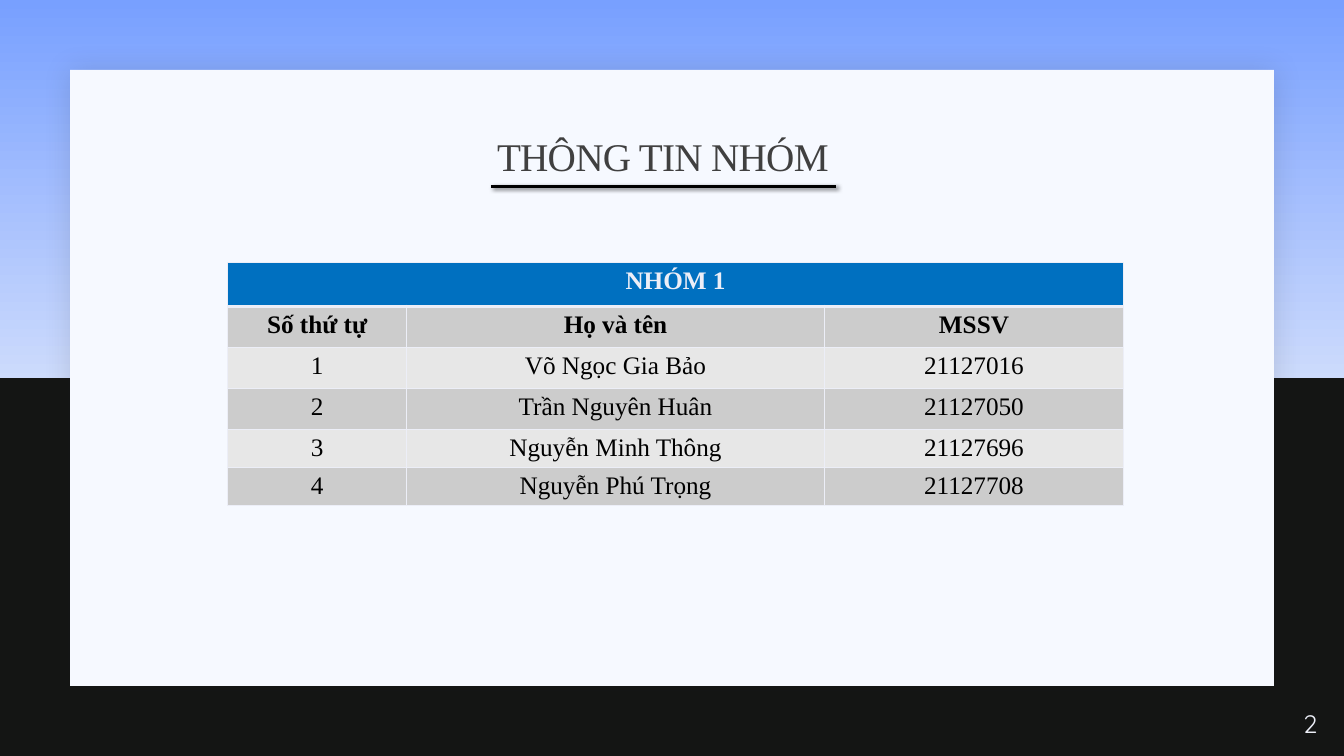
import pptx
import pptx.dml.color
import pptx.enum.shapes
import pptx.enum.text
import pptx.oxml
import pptx.oxml.ns
import pptx.util
from pptx.dml.color import RGBColor
from pptx.util import Pt

BLACK = RGBColor(0x00, 0x00, 0x00)
NEAR_BLACK = RGBColor(0x14, 0x15, 0x14)
PANEL = RGBColor(0xF6, 0xF9, 0xFF)
PANEL_SHADOW = RGBColor(0x1F, 0x21, 0x25)
TITLE_GRAY = RGBColor(0x40, 0x40, 0x40)
PALE = RGBColor(0xEC, 0xEE, 0xF7)
HEADER_BLUE = RGBColor(0x00, 0x70, 0xC0)
BAND_DARK = RGBColor(0xCC, 0xCC, 0xCC)
BAND_LIGHT = RGBColor(0xE7, 0xE7, 0xE7)
SKY_STOPS = [
    (0, RGBColor(0x78, 0xA0, 0xFF)),
    (74, RGBColor(0xF6, 0xF7, 0xFB)),
    (83, RGBColor(0xF6, 0xF7, 0xFB)),
    (100, RGBColor(0xF9, 0xFA, 0xFD)),
]
SERIF = "Times New Roman"
NS = pptx.oxml.ns.nsdecls("a")


def add_shadow(shape, color, opacity, blur, distance):
    """Cast a soft shadow to the lower right; opacity in percent, lengths in points."""
    shape.element.spPr.append(pptx.oxml.parse_xml(
        f'<a:effectLst {NS}><a:outerShdw blurRad="{Pt(blur)}" dist="{Pt(distance)}" '
        f'dir="2700000" algn="tl" rotWithShape="0"><a:srgbClr val="{color}">'
        f'<a:alpha val="{opacity * 1000}"/></a:srgbClr></a:outerShdw></a:effectLst>'))


def add_run(paragraph, text, font_name, size, color, bold=False):
    run = paragraph.add_run()
    run.text = text
    run.font.name = font_name
    run.font.size = Pt(size)
    run.font.bold = bold
    run.font.color.rgb = color
    return run


deck = pptx.Presentation()
deck.slide_width = Pt(960)
deck.slide_height = Pt(540)
slide = deck.slides.add_slide(deck.slide_layouts[5])

# Background gradient
sky = slide.background.fill
sky.gradient()
sky.gradient_angle = 270
stops = slide.element.find(".//" + pptx.oxml.ns.qn("a:gsLst"))
for stop in list(stops):
    stops.remove(stop)
for position, color in SKY_STOPS:
    stops.append(pptx.oxml.parse_xml(
        f'<a:gs {NS} pos="{position * 1000}"><a:srgbClr val="{color}"/></a:gs>'))

# Dark lower half and light panel
for left, top, width, height, color in [
    (0, 270, 960, 270, NEAR_BLACK),
    (50, 50, 860, 440, PANEL),
]:
    panel = slide.shapes.add_shape(
        pptx.enum.shapes.MSO_SHAPE.RECTANGLE, Pt(left), Pt(top), Pt(width), Pt(height))
    panel.fill.solid()
    panel.fill.fore_color.rgb = color
    panel.line.fill.background()
    if color == PANEL:
        add_shadow(panel, PANEL_SHADOW, 15, 20, 2)
    else:
        panel.shadow.inherit = False

# Title, raised above the panel
title = slide.shapes.title
slide.shapes.element.append(title.element)
title.left, title.top, title.width, title.height = Pt(347.8), Pt(62.6), Pt(265), Pt(101.5)
title.text_frame.word_wrap = True
title.text_frame.vertical_anchor = pptx.enum.text.MSO_ANCHOR.MIDDLE
heading = title.text_frame.paragraphs[0]
heading.alignment = pptx.enum.text.PP_ALIGN.LEFT
heading.line_spacing = 0.9
heading_run = add_run(heading, "THÔNG TIN NHÓM", SERIF, 28, TITLE_GRAY)
heading_run.font.element.set("spc", "-50") if hasattr(heading_run.font, "element") \
    else heading_run._r.get_or_add_rPr().set("spc", "-50")

underline = slide.shapes.add_connector(
    pptx.enum.shapes.MSO_CONNECTOR.STRAIGHT, Pt(350.6), Pt(133), Pt(597.4), Pt(133))
underline.line.color.rgb = BLACK
underline.line.width = Pt(2)
add_shadow(underline, BLACK, 60, 3, 2)

# Group table
group_rows = [
    ("NHÓM 1", "", ""),
    ("Số thứ tự", "Họ và tên", "MSSV"),
    ("1", "Võ Ngọc Gia Bảo", "21127016"),
    ("2", "Trần Nguyên Huân", "21127050"),
    ("3", "Nguyễn Minh Thông", "21127696"),
    ("4", "Nguyễn Phú Trọng", "21127708"),
]
column_widths = [127.7, 298.6, 213.5]
row_heights = [31.5, 29.3, 29.3, 29.3, 27, 27]
members = slide.shapes.add_table(
    len(group_rows), len(column_widths), Pt(162.7), Pt(187.5),
    Pt(sum(column_widths)), Pt(sum(row_heights))).table
for column, width in zip(members.columns, column_widths):
    column.width = Pt(width)
members.cell(0, 0).merge(members.cell(0, 2))

for r, (texts, height) in enumerate(zip(group_rows, row_heights)):
    members.rows[r].height = Pt(height)
    for c, text in enumerate(texts):
        cell = members.cell(r, c)
        cell.margin_top = cell.margin_bottom = Pt(3)
        cell_properties = cell._tc.get_or_add_tcPr()
        for side in "LRTB":
            heavy = (r, side) in [(0, "B"), (1, "T")]
            cell_properties.append(pptx.oxml.parse_xml(
                f'<a:ln{side} {NS} w="{Pt(3 if heavy else 1)}"><a:solidFill>'
                f'<a:srgbClr val="{PALE}"/></a:solidFill></a:ln{side}>'))
        cell.fill.solid()
        cell.fill.fore_color.rgb = (
            HEADER_BLUE if r == 0 else BAND_DARK if r % 2 else BAND_LIGHT)
        if text:
            paragraph = cell.text_frame.paragraphs[0]
            paragraph.alignment = pptx.enum.text.PP_ALIGN.CENTER
            add_run(paragraph, text, SERIF, 18, PALE if r == 0 else BLACK, bold=r < 2)

# Page number
page_number = slide.shapes.add_textbox(Pt(923.8), Pt(502.6), Pt(24.5), Pt(28.8))
page_number.text_frame.word_wrap = False
add_run(page_number.text_frame.paragraphs[0], "2", "Quicksand", 18, PALE)

deck.save("out.pptx")
